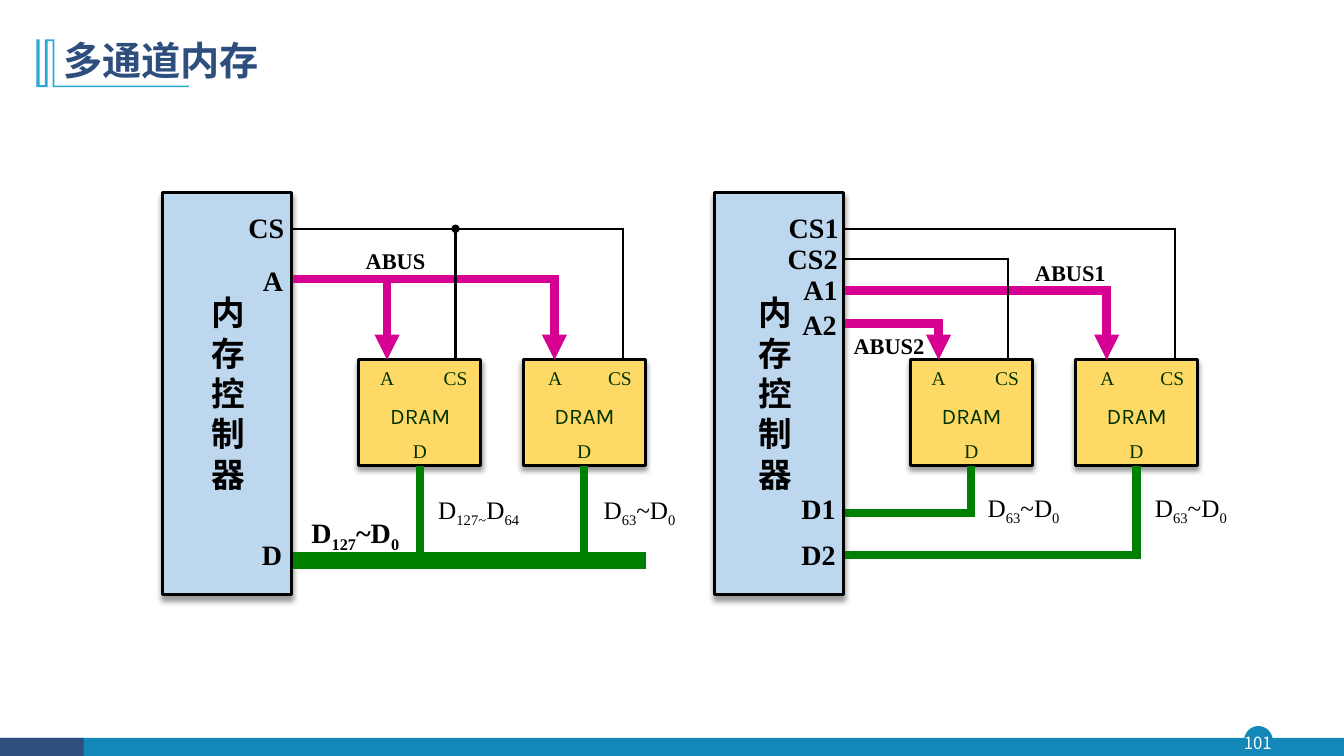
import pptx
import pptx.util
import pptx.dml.color
import pptx.enum.shapes
import pptx.enum.text
import pptx.oxml
import pptx.oxml.ns

Pt = pptx.util.Pt
KIND = pptx.enum.shapes.MSO_SHAPE
ALIGN = pptx.enum.text.PP_ALIGN
ANCHOR = pptx.enum.text.MSO_ANCHOR
NS = pptx.oxml.ns.nsdecls("a")

SERIF, SANS = "Times New Roman", "Noto Sans CJK SC"
BLACK, PINK, GREEN, BLUE = "000000", "D60093", "008000", "1387B7"
NAVY, WHITE, DARK = "2E4E7E", "FFFFFF", "003300"

TOP, BASE = 257, 332.6  # upper and lower side of the chips
CHIP_W = 87.2
CTRL_W = 92.2


def color(code):
    return pptx.dml.color.RGBColor.from_string(code)


def paint(shape, fill, line=None, width=1):
    shape.shadow.inherit = False
    shape.fill.solid()
    shape.fill.fore_color.rgb = color(fill)
    if line:
        shape.line.color.rgb = color(line)
        shape.line.width = Pt(width)
    else:
        shape.line.fill.background()


def block(shapes, kind, x, y, w, h, fill, line=None, width=1):
    shape = shapes.add_shape(kind, Pt(x), Pt(y), Pt(w), Pt(h))
    paint(shape, fill, line, width)
    return shape


def raised(shapes, x, y, w, h, fill):
    """Black-edged rectangle with a soft shadow below it."""
    shape = block(shapes, KIND.RECTANGLE, x, y, w, h, fill, BLACK, 2.25)
    effects = shape._element.spPr.find(pptx.oxml.ns.qn("a:effectLst"))
    effects.append(pptx.oxml.parse_xml(
        f'<a:outerShdw {NS} blurRad="{Pt(4)}" dist="{Pt(3)}" dir="5400000">'
        '<a:srgbClr val="000000"><a:alpha val="40000"/></a:srgbClr>'
        '</a:outerShdw>'))
    return shape


def text(shapes, x, y, w, h, words, size, font=SERIF, ink=BLACK, bold=False,
         align=ALIGN.RIGHT, inset=0.72, raise_by=0, wrap=True):
    """Text box; parts between bars in words alternate normal and subscript."""
    box = shapes.add_textbox(Pt(x), Pt(y), Pt(w), Pt(h))
    frame = box.text_frame
    frame.word_wrap = wrap
    if inset is not None:
        frame.margin_left = frame.margin_right = Pt(inset)
        frame.margin_top = frame.margin_bottom = Pt(inset)
    para = frame.paragraphs[0]
    para.alignment = align
    for i, part in enumerate(words.split("|")):
        run = para.add_run()
        run.text = part
        run.font.size = Pt(size)
        run.font.name = font
        run.font.bold = bold
        run.font.color.rgb = color(ink)
        props = run.font._element
        props.append(pptx.oxml.parse_xml(f'<a:ea {NS} typeface="{font}"/>'))
        shift = -25 if i % 2 else raise_by
        if shift:
            props.set("baseline", str(shift * 1000))
    return frame


def wire(shapes, x1, y1, x2, y2, ink, width, tail=None):
    line = shapes.add_connector(pptx.enum.shapes.MSO_CONNECTOR.STRAIGHT,
                                Pt(x1), Pt(y1), Pt(x2), Pt(y2))
    line.line.color.rgb = color(ink)
    line.line.width = Pt(width)
    if tail:
        line.line._get_or_add_ln().append(
            pptx.oxml.parse_xml(f'<a:tailEnd {NS} type="{tail}"/>'))
    line._element.spPr.append(pptx.oxml.parse_xml(f'<a:effectLst {NS}/>'))
    return line


def elbow(shapes, x1, y, x2, ink, width, tail=None):
    """Run from the controller to x2, then down to the top of a chip."""
    wire(shapes, x1, y, x2 + width / 2, y, ink, width)
    wire(shapes, x2, y - width / 2, x2, TOP, ink, width, tail)


def chip(shapes, x, shift):
    """DRAM chip; shift nudges its address pin to the right."""
    group = shapes.add_group_shape().shapes
    body = raised(group, x, TOP, CHIP_W, BASE - TOP, "FFD966")
    pins = [("D", 30.6, 307.4, 26), ("A", 7.3 + shift, 254.7, 26),
            ("CS", 51.8, 254.7, 34.6)]
    for name, dx, y, w in pins:
        text(group, x + dx, y, w, 36, name, 24, ink=DARK, align=ALIGN.CENTER,
             inset=None, raise_by=30, wrap=False)
    text(group, x - 1.5, 283.7, 90.7, 26.6, "DRAM", 16, "Karla", DARK,
         align=ALIGN.CENTER, inset=None)
    return body


def drop(shapes, body, y):
    """Data wire from the bottom middle of a chip down to y."""
    x = body.left.pt + CHIP_W / 2
    line = wire(shapes, x, BASE, x, y, GREEN, 6)
    line.begin_connect(body, 2)
    return x


def control(shapes, x, name_x, pins):
    raised(shapes, x, 137.5, CTRL_W, 287.3, "BDD7EE")
    text(shapes, name_x, 208.1, 33.8, 145.4, "内存控制器", 24, SANS, bold=True)
    for name, left, y in pins:
        text(shapes, left, y, 80.6, 40, name, 20, bold=True)


def shared(shapes):
    """Both chips on one address bus and one wide data bus."""
    start, left, right = 209, 256.3, 373.7
    control(shapes, 116, 141.8, [("CS", 123.1, 149.8), ("A", 122.4, 187.2),
                                 ("D", 121.7, 383)])
    first, second = chip(shapes, left, 0), chip(shapes, right, 2.5)
    elbow(shapes, start, 199.4, right + 22.3, PINK, 6, "triangle")
    wire(shapes, left + 20.2, 199.4, left + 20.2, TOP, PINK, 6, "triangle")
    elbow(shapes, start, 163.4, right + 71.3, BLACK, 1.5)
    wire(shapes, left + 69.1, TOP, left + 69.1, 163.4, BLACK, 1.5, "oval")
    wire(shapes, start, 400.3, 461.5, 400.3, GREEN, 12)
    for body in (first, second):
        drop(shapes, body, 398)
    text(shapes, 223.9, 175.7, 80.6, 40, "ABUS", 16, bold=True)
    text(shapes, 205.2, 367.2, 80.6, 40, "D|127|~D|0", 20, bold=True)
    text(shapes, 305.3, 352.1, 66.2, 35.3, "D|127~|D|64", 18)
    text(shapes, 421.2, 352.1, 62, 35.3, "D|63|~D|0", 18)


def split(shapes):
    """Each chip on its own address, select and data wires."""
    start, left, right = 603.5, 650.2, 768.2
    control(shapes, 510.5, 532.8, [
        ("CS1", 519.1, 149.8), ("CS2", 518.4, 172.1), ("A1", 518.4, 193.7),
        ("A2", 517.7, 218.9), ("D1", 517, 350.6), ("D2", 517, 383)])
    first, second = chip(shapes, left, 0), chip(shapes, right, 2.5)
    elbow(shapes, start, 231.1, left + 20.2, PINK, 6, "triangle")
    elbow(shapes, start, 207.4, right + 22.3, PINK, 6, "triangle")
    elbow(shapes, start, 185, left + 69.8, BLACK, 1.5)
    elbow(shapes, start, 163.4, right + 71.3, BLACK, 1.5)
    for body, y in ((first, 366.5), (second, 396.4)):
        x = drop(shapes, body, y)
        wire(shapes, start, y, x + 3, y, GREEN, 6)
    for name, x, y in (("ABUS1", 709.9, 184.3), ("ABUS2", 580.3, 236.2)):
        text(shapes, x, y, 80.6, 40, name, 16, bold=True)
    for x in (695.5, 815):
        text(shapes, x, 350.6, 62, 35.3, "D|63|~D|0", 18)


def frame(shapes):
    """Title with its ornament, and the footer with the page number."""
    block(shapes, KIND.OVAL, 889.2, 519.1, 19.4, 19.4, BLUE, BLUE)
    block(shapes, KIND.RECTANGLE, 0.7, 527, 959.3, 13.4, BLUE)
    block(shapes, KIND.RECTANGLE, 0, 527, 59.8, 13.4, NAVY)
    page = text(shapes, 887, 519.1, 23, 22.3, "101", 12, SANS, WHITE,
                align=ALIGN.CENTER, inset=0)
    page.vertical_anchor = ANCHOR.MIDDLE
    edge = [(38.9, 28.1), (38.9, 61.2), (134.9, 61.2), (134.9, 62.3),
            (37.6, 62.3), (37.6, 29.4), (34, 29.4), (34, 62.3), (25.9, 62.3),
            (25.9, 28.1), (28.3, 28.1), (28.3, 60.8), (32, 60.8), (32, 28.1)]
    points = [(Pt(x), Pt(y)) for x, y in edge]
    pen = shapes.build_freeform(*points[0])
    pen.add_line_segments(points[1:], close=True)
    paint(pen.convert_to_shape(), "28A9D6")
    title = text(shapes, 38.2, 20.2, 828, 49, "多通道内存", 28, SANS, NAVY,
                 bold=True, align=ALIGN.LEFT, inset=None)
    title.vertical_anchor = ANCHOR.MIDDLE
    title.paragraphs[0].line_spacing = 0.9


def main():
    deck = pptx.Presentation()
    deck.slide_width, deck.slide_height = Pt(960), Pt(540)
    shapes = deck.slides.add_slide(deck.slide_layouts[6]).shapes
    frame(shapes)
    shared(shapes)
    split(shapes)
    deck.save("out.pptx")


if __name__ == "__main__":
    main()
